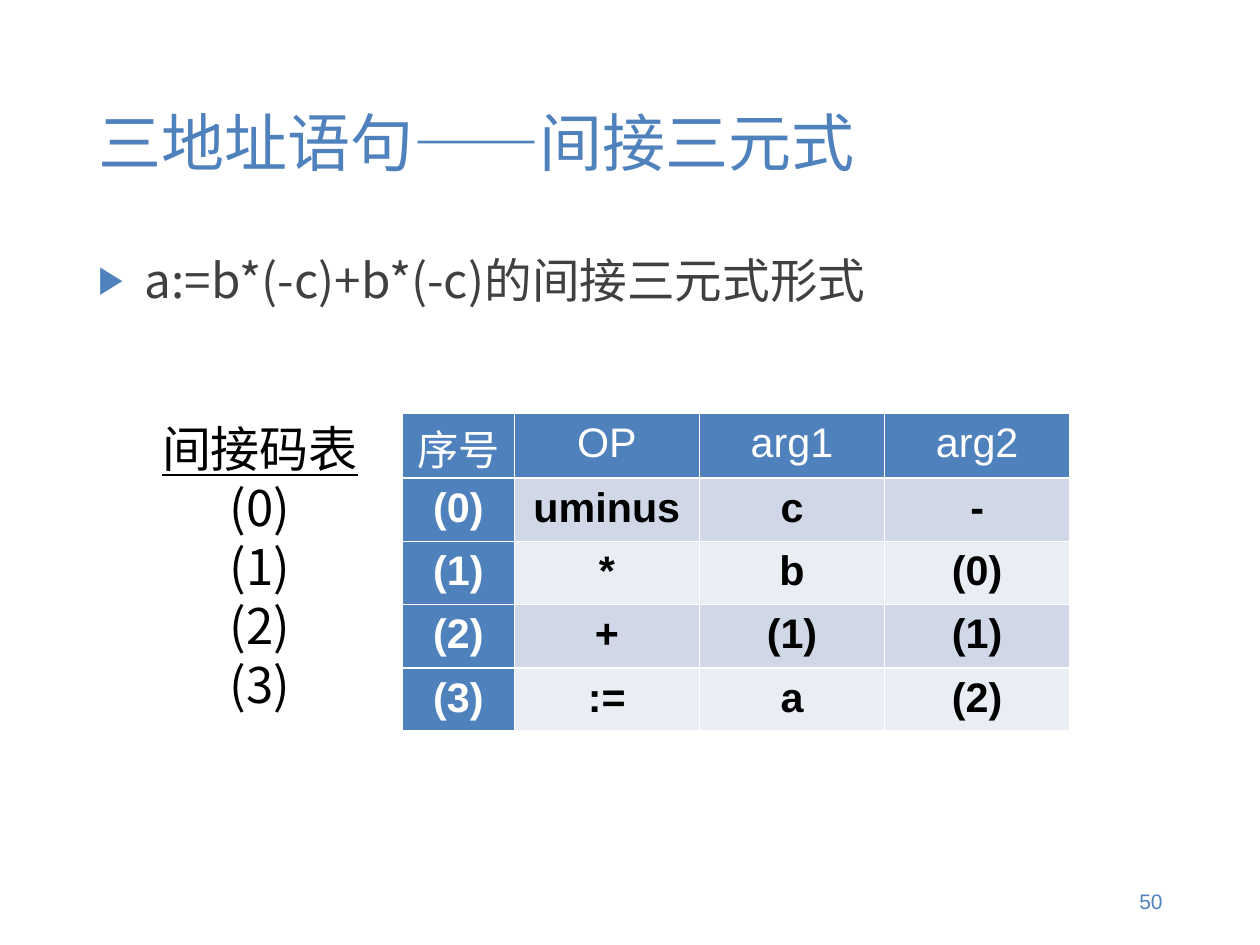
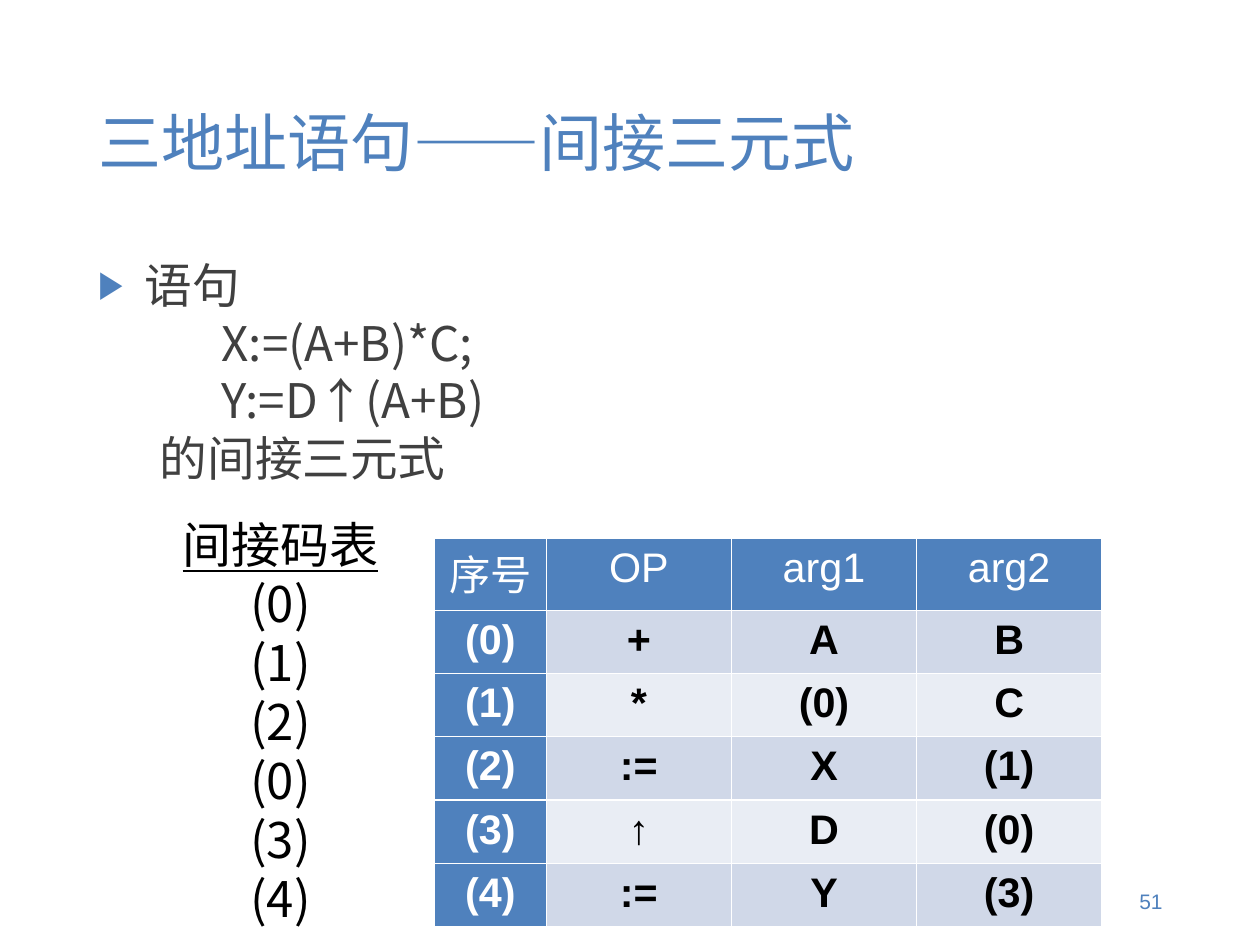
from pptx import Presentation
from pptx.dml.color import RGBColor
from pptx.enum.text import MSO_ANCHOR, MSO_AUTO_SIZE, PP_ALIGN
from pptx.oxml.ns import qn
from pptx.util import Inches, Pt
from lxml import etree

LEFT, CENTER, RIGHT = PP_ALIGN.LEFT, PP_ALIGN.CENTER, PP_ALIGN.RIGHT
TOP, MIDDLE = MSO_ANCHOR.TOP, MSO_ANCHOR.MIDDLE
GROW = MSO_AUTO_SIZE.SHAPE_TO_FIT_TEXT
PAGE_WIDTH, PAGE_HEIGHT = 28 / 2.54, 21 / 2.54
COLORS = {
    "accent": "4F81BD", "body": "404040", "text": "000000",
    "white": "FFFFFF", "odd": "D0D8E8", "even": "E9EDF4",
}
CJK, LATIN = "Noto Sans CJK SC", "Arial"
COLUMN_WIDTHS = (0.98, 1.62, 1.62, 1.62)
ROW_HEIGHT = 0.55
INDENT_STEP = 0.54
HEADER = ("序号", "OP", "arg1", "arg2")
TITLE = "三地址语句——间接三元式"
PAGES = [
    {
        "number": 50,
        "statement": [("a:=b*(-c)+b*(-c)的间接三元式形式", 0)],
        "statement_top": 2.14,
        "codes": (0, 1, 2, 3),
        "codes_at": (1.31, 3.61, 1.93, 2.7),
        "table_at": (3.52, 3.62),
        "header_height": 0.55,
        "triples": [("uminus", "c", "-"), ("*", "b", "(0)"),
                    ("+", "(1)", "(1)"), (":=", "a", "(2)")],
    },
    {
        "number": 51,
        "statement": [("语句", 0), ("X:=(A+B)*C;", 2),
                      ("Y:=D↑(A+B)", 2), ("的间接三元式", 1)],
        "statement_top": 2.19,
        "codes": (0, 1, 2, 0, 3, 4),
        "codes_at": (1.49, 4.45, 1.93, 3.74),
        "table_at": (3.8, 4.71),
        "header_height": 0.63,
        "triples": [("+", "A", "B"), ("*", "(0)", "C"), (":=", "X", "(1)"),
                    ("↑", "D", "(0)"), (":=", "Y", "(3)")],
    },
]


def color(name):
    """Return a palette colour."""
    return RGBColor.from_string(COLORS[name])


def add_span(para, text, size, shade, face, bold=False, underline=False):
    """Add a run, using one face for Latin and East Asian letters."""
    span = para.add_run()
    span.text = text
    font = span.font
    font.size, font.name, font.bold, font.underline = Pt(size), face, bold, underline
    font.color.rgb = color(shade)
    east_asian = etree.Element(qn("a:ea"), typeface=face)
    font._element.find(qn("a:latin")).addnext(east_asian)


def add_box(page, area, anchor=TOP):
    """Add an empty text box and return its frame."""
    frame = page.shapes.add_textbox(*map(Inches, area)).text_frame
    frame.word_wrap = True
    frame.vertical_anchor = anchor
    frame.margin_left = frame.margin_right = Inches(0.1)
    frame.margin_top = frame.margin_bottom = Inches(0.05)
    return frame


def add_line(frame, index, align=LEFT, spacing=None):
    """Return the paragraph for one line of a frame."""
    para = frame.add_paragraph() if index else frame.paragraphs[0]
    para.alignment = align
    if spacing:
        para.line_spacing = Pt(spacing)
    return para


def indent(para, depth):
    """Give a paragraph a triangle bullet, or an indent without one."""
    properties = para._p.get_or_add_pPr()
    margin, hang = (INDENT_STEP * depth, 0) if depth else (0.41, -0.41)
    properties.set("marL", str(Inches(margin)))
    properties.set("indent", str(Inches(hang)))
    if depth:
        etree.SubElement(properties, qn("a:buNone"))
        return
    bullet_color = etree.SubElement(properties, qn("a:buClr"))
    etree.SubElement(bullet_color, qn("a:srgbClr"), val=COLORS["accent"])
    etree.SubElement(properties, qn("a:buSzPct"), val="80000")
    etree.SubElement(properties, qn("a:buFont"), typeface=LATIN)
    etree.SubElement(properties, qn("a:buChar"), char="▶")


def add_frame_parts(page, number):
    """Add the title and the page number."""
    title = add_box(page, (0.76, 0.44, 9.51, 1.6), MIDDLE)
    add_span(add_line(title, 0), TITLE, 39.7, "accent", CJK)
    footer = add_box(page, (7.79, 7.66, 2.48, 0.44), MIDDLE)
    add_span(add_line(footer, 0, RIGHT), str(number), 13.2, "accent", LATIN)


def add_statement(page, top, lines):
    """Add the bulleted statement with its indented lines."""
    frame = add_box(page, (0.76, top, 9.51, 5.25))
    for index, (text, depth) in enumerate(lines):
        para = add_line(frame, index, spacing=36.2)
        indent(para, depth)
        add_span(para, text, 30, "body", CJK)


def add_code_list(page, area, codes):
    """Add the indirect code list under its underlined heading."""
    frame = add_box(page, area)
    frame.word_wrap = False
    frame.auto_size = GROW
    for index, text in enumerate(["间接码表", *(f"({code})" for code in codes)]):
        para = add_line(frame, index, CENTER, 37.2)
        add_span(para, text, 30.9, "text", CJK, underline=index == 0)


def style_cell(cell, text, row, column):
    """Fill, border and write one table cell."""
    properties = cell._tc.get_or_add_tcPr()
    for side in ("a:lnL", "a:lnR", "a:lnT", "a:lnB"):
        border = etree.SubElement(properties, qn(side), w=str(Pt(1)))
        fill = etree.SubElement(border, qn("a:solidFill"))
        etree.SubElement(fill, qn("a:srgbClr"), val=COLORS["white"])
    heading = row == 0 or column == 0
    cell.fill.solid()
    cell.fill.fore_color.rgb = color("accent" if heading else "odd" if row % 2 else "even")
    cell.margin_left = cell.margin_right = Inches(0.11)
    cell.margin_top = Inches(0.06 if row or column else 0.13)
    cell.margin_bottom = Inches(0.06 if row else 0)
    para = add_line(cell.text_frame, 0, CENTER)
    add_span(para, text, 26, "white" if heading else "text", LATIN, bold=row > 0)


def add_triples(page, corner, header_height, triples):
    """Add the table of numbered triples."""
    rows = [HEADER, *((f"({index})", *triple) for index, triple in enumerate(triples))]
    heights = [header_height] + [ROW_HEIGHT] * len(triples)
    area = (*corner, sum(COLUMN_WIDTHS), sum(heights))
    table = page.shapes.add_table(len(rows), len(HEADER), *map(Inches, area)).table
    for column, width in zip(table.columns, COLUMN_WIDTHS):
        column.width = Inches(width)
    for row, (height, texts) in enumerate(zip(heights, rows)):
        table.rows[row].height = Inches(height)
        for column, text in enumerate(texts):
            style_cell(table.cell(row, column), text, row, column)


def add_page(deck, content):
    """Add one slide on indirect triples."""
    page = deck.slides.add_slide(deck.slide_layouts[6])
    add_frame_parts(page, content["number"])
    add_statement(page, content["statement_top"], content["statement"])
    add_triples(page, content["table_at"], content["header_height"], content["triples"])
    add_code_list(page, content["codes_at"], content["codes"])


def main():
    """Build and save the deck."""
    deck = Presentation()
    deck.slide_width, deck.slide_height = Inches(PAGE_WIDTH), Inches(PAGE_HEIGHT)
    deck.element.find(qn("p:sldSz")).attrib.pop("type", None)
    for content in PAGES:
        add_page(deck, content)
    deck.save("out.pptx")


if __name__ == "__main__":
    main()
